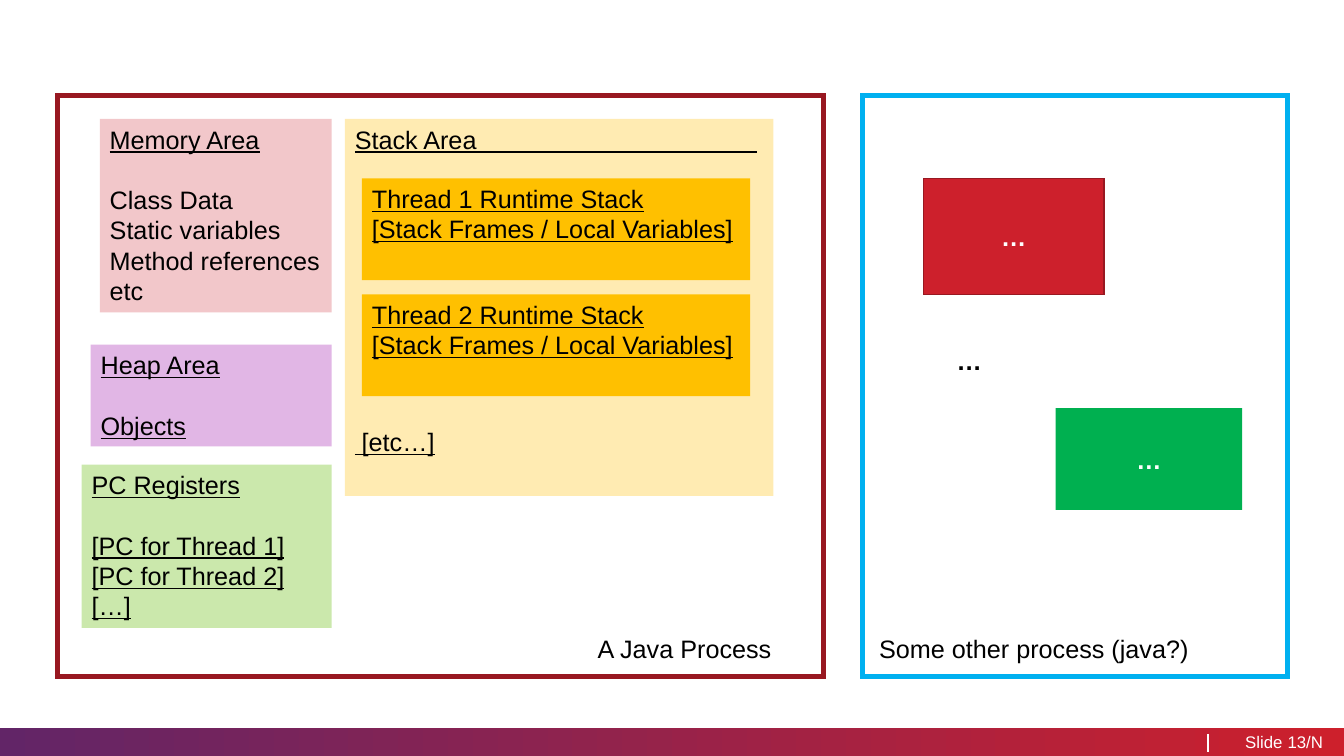
from lxml.etree import SubElement
from pptx import Presentation
from pptx.dml.color import RGBColor
from pptx.enum.shapes import MSO_CONNECTOR, MSO_SHAPE
from pptx.enum.text import MSO_ANCHOR, PP_ALIGN
from pptx.oxml.ns import qn
from pptx.util import Inches, Pt

BLACK = RGBColor(0x00, 0x00, 0x00)
WHITE = RGBColor(0xFF, 0xFF, 0xFF)
RED = RGBColor(0xCD, 0x20, 0x2C)
MAROON = RGBColor(0x98, 0x18, 0x21)
PURPLE = RGBColor(0x62, 0x25, 0x67)
VIOLET = RGBColor(0xBC, 0x5A, 0xC5)
LIME = RGBColor(0x92, 0xD0, 0x50)
GOLD = RGBColor(0xFF, 0xC0, 0x00)
GREEN = RGBColor(0x00, 0xB0, 0x50)
BLUE = RGBColor(0x00, 0xB0, 0xF0)

WIDE, HIGH = 13.33, 7.5
SIZE, LEAD = 18, 1.2

# left, top, height, colour, opacity, heading, lines, underlined lines
AREAS = [
    (0.99, 1.18, 1.92, RED, 25, "Memory Area",
     ["Class Data", "Static variables", "Method references", "etc"], False),
    (0.9, 3.42, 1.01, VIOLET, 44, "Heap Area", ["Objects"], True),
    (0.81, 4.61, 1.62, LIME, 47, "PC Registers",
     ["[PC for Thread 1]", "[PC for Thread 2]", "[…]"], True),
]
AREA_END = 3.29
STACK = (3.42, 1.18, 4.25, 3.74)
STACK_TEXT = ["Stack Area", " [etc…]"]
STACK_GAP = 9  # lines left free for the threads
STACK_RULE = (4.73, 1.51, 7.51, 1.51)
THREADS = ["Thread 1 Runtime Stack", "Thread 2 Runtime Stack"]
THREAD_NOTE = "[Stack Frames / Local Variables]"
THREAD_BOX = (3.59, 1.77, 3.85, 1.01)
THREAD_STEP = 1.15

# left, width, colour, line width, label, label left, label width
FRAMES = [
    (0.57, 7.6, MAROON, 3.25, "A Java Process", 5.83, 3.21),
    (8.55, 4.22, BLUE, 3.5, "Some other process (java?)", 8.62, 3.99),
]
FRAME_TOP, FRAME_HIGH, LABEL_TOP, LABEL_HIGH = 0.95, 5.76, 6.23, 0.4
DOTS = "…"
DOT_BOXES = [
    ((9.16, 1.77, 1.79, 1.15), RED, MAROON),
    ((10.47, 4.05, 1.85, 1.01), GREEN, None),
]
DOT_LABEL = (9.39, 3.38, 1.75, 0.4)

BAR_TOP, BAR_HIGH = 7.22, 0.28
BAR_RULE = (11.98, 7.28, 11.98, 7.46)
FOOTER = [("Slide", 12.12, 0.6, PP_ALIGN.RIGHT),
          ("13/N", 12.77, 0.56, PP_ALIGN.LEFT)]

deck = Presentation()
deck.slide_width, deck.slide_height = Inches(WIDE), Inches(HIGH)
slide = deck.slides.add_slide(deck.slide_layouts[6])


def add_box(at, color=None, alpha=100, line=None, width=1):
    box = slide.shapes.add_shape(MSO_SHAPE.RECTANGLE, *map(Inches, at))
    box.shadow.inherit = False
    if color is None:
        box.fill.background()
    else:
        box.fill.solid()
        box.fill.fore_color.rgb = color
        if alpha < 100:
            tint = box.fill._xPr.find(qn("a:solidFill"))[0]
            SubElement(tint, qn("a:alpha"), val=str(alpha * 1000))
    if line is None:
        box.line.fill.background()
    else:
        box.line.color.rgb = line
        box.line.width = Pt(width)
        edge = box._element.spPr.find(qn("a:ln"))
        SubElement(edge, qn("a:miter"), lim="800000")
    return box


def add_rule(ends, color):
    rule = slide.shapes.add_connector(MSO_CONNECTOR.STRAIGHT,
                                      *map(Inches, ends))
    rule.line.color.rgb = color
    rule.line.width = Pt(1)
    SubElement(rule._element.spPr, qn("a:effectLst"))


def add_label(at):
    return slide.shapes.add_textbox(*map(Inches, at))


def write(shape, lines, size=SIZE, color=BLACK, bold=False, under=(),
          align=PP_ALIGN.LEFT, anchor=MSO_ANCHOR.TOP, gap=0, side=0.1):
    """Fill a shape; under holds underlined line numbers, gap the lines
    left free below the first one."""
    frame = shape.text_frame
    frame.word_wrap = True
    frame.vertical_anchor = anchor
    frame.margin_left = frame.margin_right = Inches(side)
    for i, text in enumerate(lines):
        para = frame.paragraphs[0] if i == 0 else frame.add_paragraph()
        para.alignment = align
        para.line_spacing = Pt(size * LEAD)
        if i == 1 and gap:
            para.space_before = Pt(size * LEAD * gap)
        run = para.add_run()
        run.text = text
        font = run.font
        font.name, font.size, font.bold = "Arial", Pt(size), bold
        font.underline = i in under
        font.color.rgb = color


def add_footer():
    bar = add_box((0, BAR_TOP, WIDE, BAR_HIGH))
    bar.fill.gradient()
    bar.fill.gradient_angle = 0
    for stop, color in zip(bar.fill.gradient_stops, (PURPLE, RED)):
        stop.color.rgb = color
    for text, left, width, align in FOOTER:
        write(add_label((left, BAR_TOP, width, BAR_HIGH)), [text], size=12,
              color=WHITE, align=align, anchor=MSO_ANCHOR.MIDDLE, side=0)
    add_rule(BAR_RULE, WHITE)


def add_areas():
    for left, top, high, color, alpha, head, lines, under in AREAS:
        box = add_box((left, top, AREA_END - left, high), color, alpha)
        marks = range(len(lines) + 1) if under else [0]
        write(box, [head, *lines], under=marks, gap=1)


def add_stack():
    write(add_box(STACK, GOLD, 30), STACK_TEXT, under=(0, 1), gap=STACK_GAP)
    add_rule(STACK_RULE, BLACK)
    left, top, width, high = THREAD_BOX
    for i, name in enumerate(THREADS):
        box = add_box((left, top + i * THREAD_STEP, width, high), GOLD)
        write(box, [name, THREAD_NOTE], under=(0, 1))


def add_frames():
    for left, width, color, weight, label, label_x, label_w in FRAMES:
        add_box((left, FRAME_TOP, width, FRAME_HIGH), line=color, width=weight)
        write(add_label((label_x, LABEL_TOP, label_w, LABEL_HIGH)), [label])


def add_dots():
    write(add_label(DOT_LABEL), [DOTS], bold=True)
    for at, color, line in DOT_BOXES:
        write(add_box(at, color, line=line), [DOTS], color=WHITE, bold=True,
              align=PP_ALIGN.CENTER, anchor=MSO_ANCHOR.MIDDLE)


add_footer()
add_areas()
add_stack()
add_frames()
add_dots()
deck.save("out.pptx")
